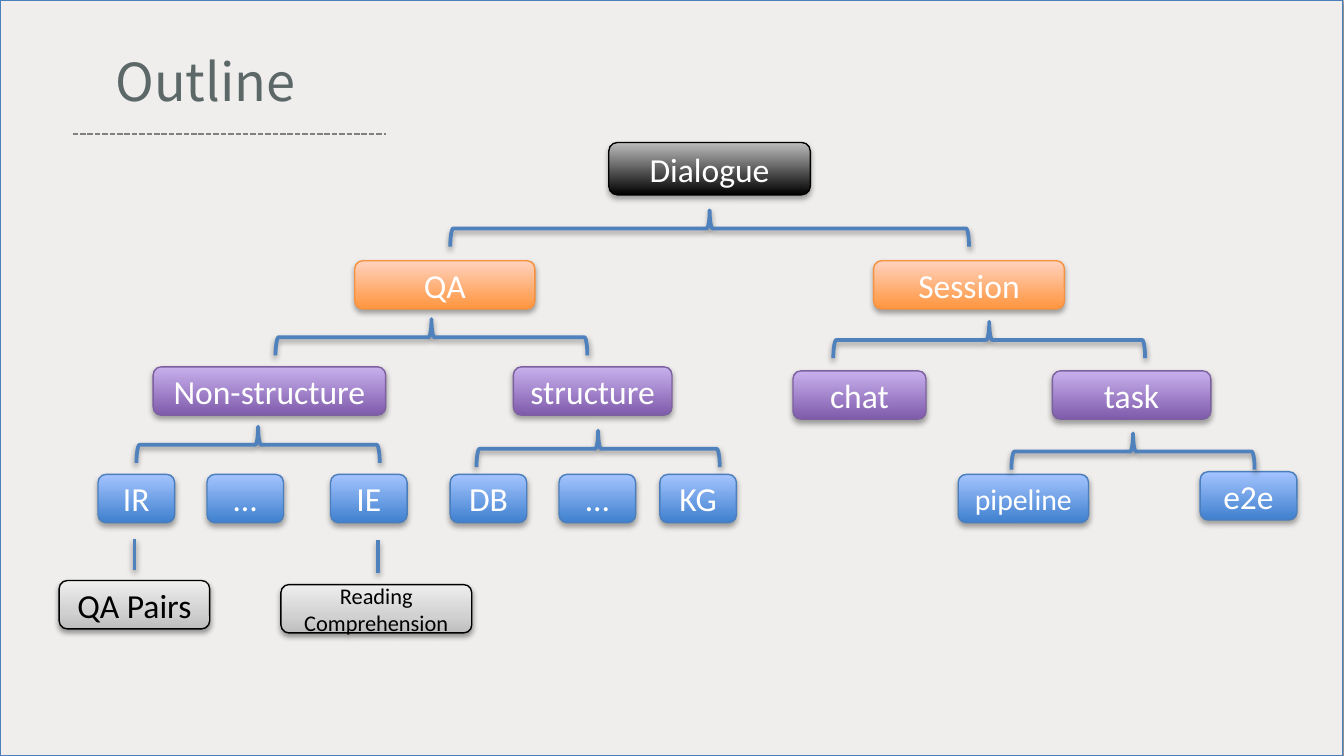
import copy
from dataclasses import dataclass

import lxml.etree
import pptx
import pptx.dml.color
import pptx.enum.dml
import pptx.enum.shapes
import pptx.enum.text
import pptx.oxml.ns
import pptx.util


@dataclass(frozen=True)
class Style:
    stops: tuple
    line: str
    text: str = "FFFFFF"


@dataclass(frozen=True)
class Theme:
    title_font: str = "Noto Sans CJK SC"
    body_font: str = "Calibri"
    title_size: int = 28
    node_size: int = 18
    pipeline_size: int = 16
    small_size: int = 12
    backdrop: str = "BFBFBF"
    panel: str = "EFEEED"
    title: str = "5C6767"
    frame: str = "4B7EBC"
    branch: str = "4F81BD"
    rule: str = "808080"
    root: Style = Style(((0, "000000"), (1, "BDBDBD")), "000000")
    family: Style = Style(((0, "FF953E"), (1, "FFD2BD")), "F69240")
    group: Style = Style(((0, "7F5BAB"), (1, "C8B0ED")), "7D60A0")
    method: Style = Style(((0, "3F80CE"), (1, "A4C4FF")), "4B7EBC")
    task: Style = Style(((0, "BDBDBD"), (0.35, "D1D1D1"), (1, "EEEEEE")), "000000", "000000")


THEME = Theme()
SLIDE_WIDTH = 10
SLIDE_HEIGHT = SLIDE_WIDTH * 9 / 16
NODE_HEIGHT = 0.36
BRACE_HEIGHT = 0.27
NODE_SHADOW = (35, 1.8)  # opacity in percent, distance in points
BRANCH_SHADOW = (38, 1.6)

# Text, style, left, top, width
NODES = [
    ("Session", THEME.family, 6.5, 1.94, 1.42),
    ("QA", THEME.family, 2.64, 1.94, 1.34),
    ("structure", THEME.group, 3.82, 2.73, 1.18),
    ("Non-structure", THEME.group, 1.14, 2.73, 1.73),
    ("chat", THEME.group, 5.9, 2.76, 0.99),
    ("task", THEME.group, 7.83, 2.76, 1.18),
    ("e2e", THEME.method, 8.93, 3.51, 0.72),
]
METHODS = [("IR", 0.73), ("…", 1.54), ("IE", 2.46), ("DB", 3.35), ("…", 4.16), ("KG", 4.91)]

# Centre x, centre y, span
BRACES = [
    (5.28, 1.7, 3.86),
    (3.21, 2.51, 2.32),
    (7.36, 2.53, 2.32),
    (1.92, 3.31, 1.81),
    (8.43, 3.36, 1.81),
    (4.45, 3.34, 1.81),
]


def inches(*lengths):
    return [pptx.util.Inches(length) for length in lengths]


def rgb(color):
    return pptx.dml.color.RGBColor.from_string(color)


def apply_format(target, values):
    for name, value in values.items():
        setattr(target, name, value)


def set_line(shape, color, width):
    shape.line.color.rgb = rgb(color)
    shape.line.width = pptx.util.Pt(width)


def set_shadow(shape, shadow=None):
    """Add an effect list, empty when there is no shadow."""
    qn = pptx.oxml.ns.qn
    effects = lxml.etree.SubElement(shape._element.spPr, qn("a:effectLst"))
    if shadow:
        opacity, distance = shadow
        outer = lxml.etree.SubElement(
            effects, qn("a:outerShdw"), blurRad=str(pptx.util.Pt(3.1)),
            dist=str(pptx.util.Pt(distance)), dir="5400000", rotWithShape="0")
        color = lxml.etree.SubElement(outer, qn("a:srgbClr"), val="000000")
        lxml.etree.SubElement(color, qn("a:alpha"), val=str(opacity * 1000))


def set_gradient(shape, stops):
    """Fill from bottom to top with any number of stops."""
    shape.fill.gradient()
    shape.fill.gradient_angle = 90
    stop_list = shape._element.spPr.find(".//" + pptx.oxml.ns.qn("a:gsLst"))
    for _ in stops[2:]:
        stop_list.append(copy.deepcopy(stop_list[-1]))
    for stop, (position, color) in zip(shape.fill.gradient_stops, stops):
        stop.position = position
        stop.color.rgb = rgb(color)


def set_text(frame, lines, font, size, color, alignment):
    for index, line in enumerate(lines):
        paragraph = frame.paragraphs[0] if index == 0 else frame.add_paragraph()
        paragraph.alignment = alignment
        run = paragraph.add_run()
        run.text = line
        apply_format(run.font, {"name": font, "size": pptx.util.Pt(size)})
        run.font.color.rgb = rgb(color)


def add_panel(slide):
    slide.background.fill.solid()
    slide.background.fill.fore_color.rgb = rgb(THEME.backdrop)
    panel = slide.shapes.add_shape(
        pptx.enum.shapes.MSO_SHAPE.RECTANGLE, *inches(0, 0, 9.99, SLIDE_HEIGHT))
    panel.fill.solid()
    panel.fill.fore_color.rgb = rgb(THEME.panel)
    set_line(panel, THEME.frame, 0.75)
    set_shadow(panel, NODE_SHADOW)
    # Place the panel behind the title
    slide.shapes.title._element.addprevious(panel._element)


def add_title(slide, text):
    title = slide.shapes.title
    left, top, width, height = inches(0.73, 0.31, 4.66, 0.6)
    apply_format(title, {"left": left, "top": top, "width": width, "height": height})
    side, edge = inches(0.13, 0.06)
    apply_format(title.text_frame, {
        "margin_left": side, "margin_right": side,
        "margin_top": edge, "margin_bottom": edge,
        "vertical_anchor": pptx.enum.text.MSO_ANCHOR.TOP,
        "auto_size": pptx.enum.text.MSO_AUTO_SIZE.SHAPE_TO_FIT_TEXT,
    })
    set_text(title.text_frame, [text], THEME.title_font, THEME.title_size,
             THEME.title, pptx.enum.text.PP_ALIGN.LEFT)


def add_node(slide, text, style, left, top, width, height=NODE_HEIGHT,
             size=THEME.node_size, shadow=NODE_SHADOW):
    node = slide.shapes.add_shape(
        pptx.enum.shapes.MSO_SHAPE.ROUNDED_RECTANGLE, *inches(left, top, width, height))
    set_gradient(node, style.stops)
    set_line(node, style.line, 0.75)
    set_shadow(node, shadow)
    apply_format(node.text_frame, {
        "word_wrap": True, "vertical_anchor": pptx.enum.text.MSO_ANCHOR.MIDDLE})
    set_text(node.text_frame, text.split("\n"), THEME.body_font, size,
             style.text, pptx.enum.text.PP_ALIGN.CENTER)


def add_brace(slide, center_x, center_y, span):
    """Add a brace turned so that its tip points up."""
    brace = slide.shapes.add_shape(
        pptx.enum.shapes.MSO_SHAPE.LEFT_BRACE,
        *inches(center_x - BRACE_HEIGHT / 2, center_y - span / 2, BRACE_HEIGHT, span))
    brace.rotation = 90
    brace.fill.background()
    set_line(brace, THEME.branch, 2)
    set_shadow(brace, BRANCH_SHADOW)


def add_line(slide, ends, color, width, shadow=None):
    line = slide.shapes.add_connector(
        pptx.enum.shapes.MSO_CONNECTOR.STRAIGHT, *inches(*ends))
    set_line(line, color, width)
    set_shadow(line, shadow)
    return line


def main():
    presentation = pptx.Presentation()
    width, height = inches(SLIDE_WIDTH, SLIDE_HEIGHT)
    apply_format(presentation, {"slide_width": width, "slide_height": height})
    slide = presentation.slides.add_slide(presentation.slide_layouts[5])

    # Backdrop and title
    add_panel(slide)
    add_title(slide, "Outline")

    # Tree nodes
    add_node(slide, "Dialogue", THEME.root, 4.53, 1.06, 1.5, height=0.39)
    for node in NODES:
        add_node(slide, *node)
    for text, left in METHODS:
        add_node(slide, text, THEME.method, left, 3.53, 0.57)
    add_node(slide, "pipeline", THEME.method, 7.13, 3.53, 0.97, size=THEME.pipeline_size)

    # Branches
    for brace in BRACES:
        add_brace(slide, *brace)

    # Tasks below the methods
    add_node(slide, "QA Pairs", THEME.task, 0.44, 4.32, 1.12, shadow=BRANCH_SHADOW)
    add_node(slide, "Reading\nComprehension", THEME.task, 2.09, 4.35, 1.42,
             size=THEME.small_size, shadow=BRANCH_SHADOW)
    for ends in ((1, 4.01, 1, 4.24), (2.81, 4.02, 2.81, 4.26)):
        add_line(slide, ends, THEME.branch, 2, BRANCH_SHADOW)

    # Dashed rule under the title
    rule = add_line(slide, (0.54, 1, 2.87, 1), THEME.rule, 1)
    rule.line.dash_style = pptx.enum.dml.MSO_LINE.SQUARE_DOT

    presentation.save("out.pptx")


if __name__ == "__main__":
    main()
